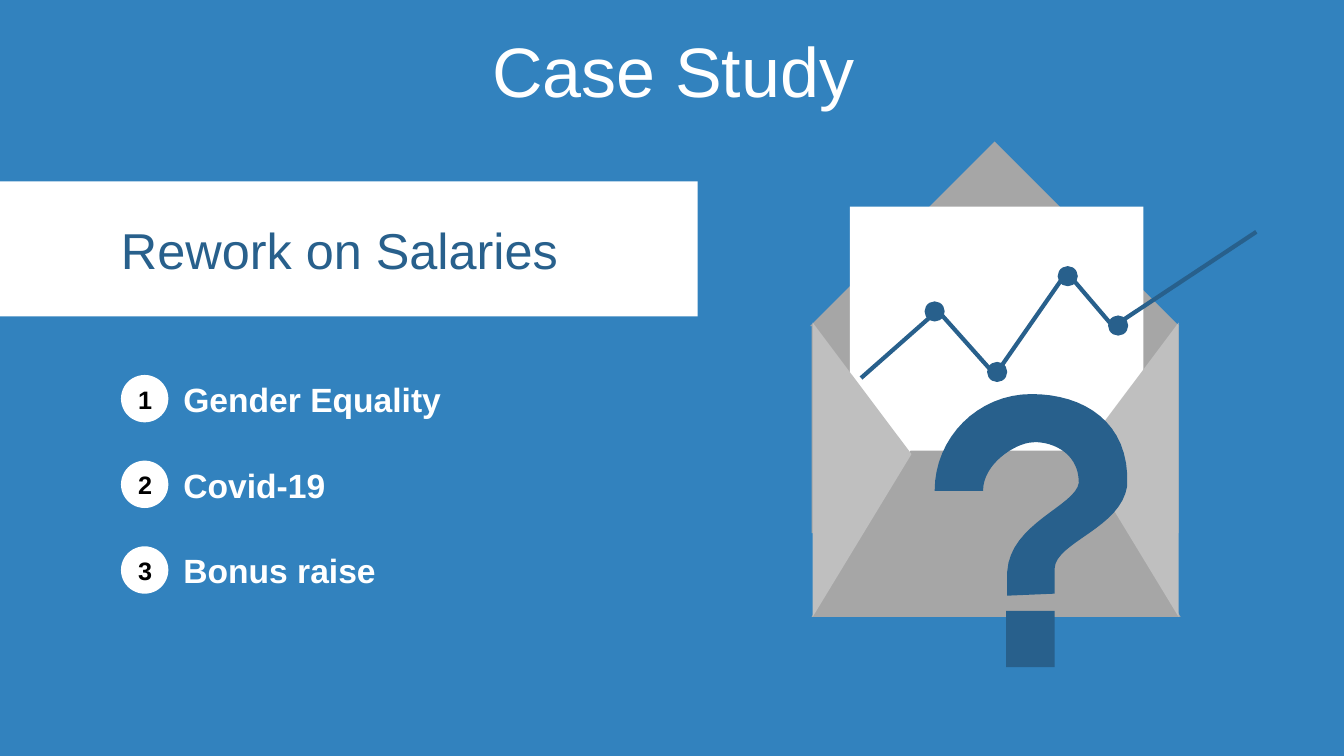
from pptx import Presentation
from pptx.dml.color import RGBColor
from pptx.enum.shapes import MSO_SHAPE as Preset
from pptx.enum.text import MSO_ANCHOR as Anchor, PP_ALIGN as Align
from pptx.util import Inches, Pt

COLORS = {
    "background": "3282BE",
    "white": "FFFFFF",
    "black": "000000",
    "navy": "28608C",
    "gray": "A6A6A6",
    "light_gray": "BFBFBF",
}


def rgb(name):
    return RGBColor.from_string(COLORS[name])


def curve_points(p0, p1, p2, p3, steps=16):
    """Points along a cubic Bezier curve, without its start."""
    points = []
    for step in range(1, steps + 1):
        t = step / steps
        u = 1 - t
        weights = (u**3, 3 * u * u * t, 3 * u * t * t, t**3)
        points.append(tuple(sum(w * p[axis] for w, p in zip(weights, (p0, p1, p2, p3)))
                            for axis in (0, 1)))
    return points


def trace(start, segments):
    """Outline points; a segment of one point is a line, of three a curve."""
    points = [start]
    for segment in segments:
        if len(segment) == 1:
            points.append(segment[0])
        else:
            points += curve_points(points[-1], *segment)
    return points


class SlidePainter:
    font = "Arial"

    def __init__(self, slide):
        self.slide = slide
        slide.background.fill.solid()
        slide.background.fill.fore_color.rgb = rgb("background")

    def fill(self, shape, color):
        shape.shadow.inherit = False
        shape.fill.solid()
        shape.fill.fore_color.rgb = rgb(color)
        shape.line.fill.background()

    def shape(self, preset, left, top, width, height, color, rotation=0, adjust=None):
        shape = self.slide.shapes.add_shape(
            preset, Inches(left), Inches(top), Inches(width), Inches(height))
        self.fill(shape, color)
        shape.rotation = rotation
        if adjust is not None:
            shape.adjustments[0] = adjust

    def freeform(self, points, close):
        corners = [(Inches(x), Inches(y)) for x, y in points]
        builder = self.slide.shapes.build_freeform(*corners[0])
        builder.add_line_segments(corners[1:], close=close)
        return builder.convert_to_shape()

    def outline(self, points, color):
        self.fill(self.freeform(points, close=True), color)

    def polyline(self, points, color, weight):
        line = self.freeform(points, close=False)
        line.shadow.inherit = False
        line.fill.background()
        line.line.color.rgb = rgb(color)
        line.line.width = Pt(weight)

    def text(self, words, left, top, width, height, *, size, color="white", bold=False,
             align=Align.LEFT, insets=(0.1, 0.05), line_spacing=None, space_before=None):
        box = self.slide.shapes.add_textbox(
            Inches(left), Inches(top), Inches(width), Inches(height))
        frame = box.text_frame
        frame.word_wrap = True
        frame.vertical_anchor = Anchor.MIDDLE
        frame.margin_left = frame.margin_right = Inches(insets[0])
        frame.margin_top = frame.margin_bottom = Inches(insets[1])
        paragraph = frame.paragraphs[0]
        paragraph.alignment = align
        if line_spacing is not None:
            paragraph.line_spacing = line_spacing
        if space_before is not None:
            paragraph.space_before = Pt(space_before)
        run = paragraph.add_run()
        run.text = words
        run.font.name = self.font
        run.font.size = Pt(size)
        run.font.bold = bold
        run.font.color.rgb = rgb(color)


def draw_envelope(painter):
    painter.shape(Preset.RECTANGLE, 8.05, 3.23, 3.64, 2.06, "gray")
    painter.shape(Preset.RIGHT_TRIANGLE, 8.57, 1.94, 2.59, 2.59, "gray", rotation=135)
    painter.shape(Preset.RECTANGLE, 8.43, 2.05, 2.91, 4.01, "white")
    painter.shape(Preset.TRAPEZOID, 8.05, 4.47, 3.66, 1.65, "gray", adjust=0.595)
    for left, rotation, apex in ((7.09, 90, 0.447), (9.74, 270, 0.553)):
        painter.shape(Preset.ISOSCELES_TRIANGLE, left, 4.17, 2.92, 0.98, "light_gray",
                      rotation=rotation, adjust=apex)


def draw_trend(painter):
    trend = [(8.54, 3.75), (9.3, 3.08), (9.87, 3.72), (10.58, 2.7), (11.04, 3.24), (12.46, 2.3)]
    painter.polyline(trend, "navy", 3)
    marker = 0.2
    for x, y in ((9.27, 3.09), (9.89, 3.69), (10.59, 2.74), (11.09, 3.23)):
        painter.shape(Preset.OVAL, x - marker / 2, y - marker / 2, marker, marker, "navy")


def draw_question_mark(painter):
    hook = trace((10.23, 3.91), [
        [(10.74, 3.91), (11.21, 4.18), (11.18, 4.82)],
        [(11.12, 5.24), (10.47, 5.38), (10.46, 5.64)],
        [(10.46, 5.89)],
        [(9.99, 5.91)],
        [(9.99, 5.83), (9.99, 5.75), (9.99, 5.67)],
        [(10.02, 5.19), (10.67, 5.02), (10.7, 4.79)],
        [(10.7, 4.46), (10.38, 4.37), (10.23, 4.39)],
        [(10.07, 4.4), (9.75, 4.6), (9.75, 4.87)],
        [(9.27, 4.87)],
        [(9.27, 4.34), (9.7, 3.91), (10.23, 3.91)],
    ])
    painter.outline(hook, "navy")
    painter.shape(Preset.RECTANGLE, 9.98, 6.06, 0.48, 0.56, "navy")


def draw_topics(painter):
    first_top, pitch, badge = 3.72, 0.85, 0.47
    for index, topic in enumerate(("Gender Equality", "Covid-19", "Bonus raise")):
        top = first_top + index * pitch
        painter.shape(Preset.OVAL, 1.2, top, badge, badge, "white")
        painter.text(topic, 1.72, top - 0.01, 4.89, 0.5, size=24, bold=True)
        painter.text(str(index + 1), 1.29, top + 0.09, 0.3, 0.3, size=18, color="black",
                     bold=True, align=Align.CENTER, insets=(0, 0))


def main():
    deck = Presentation()
    deck.slide_width, deck.slide_height = Inches(13.33), Inches(7.5)
    painter = SlidePainter(deck.slides.add_slide(deck.slide_layouts[6]))

    painter.text("Case Study", 0.35, 0.37, 12.66, 0.79, size=50, align=Align.CENTER,
                 line_spacing=0.8, space_before=10)
    draw_envelope(painter)
    draw_trend(painter)
    draw_question_mark(painter)
    painter.shape(Preset.RECTANGLE, 0, 1.8, 6.92, 1.34, "white")
    draw_topics(painter)
    painter.text("Rework on Salaries", 1.2, 2.17, 5.26, 0.61, size=36, color="navy",
                 insets=(0, 0))
    deck.save("out.pptx")


if __name__ == "__main__":
    main()
